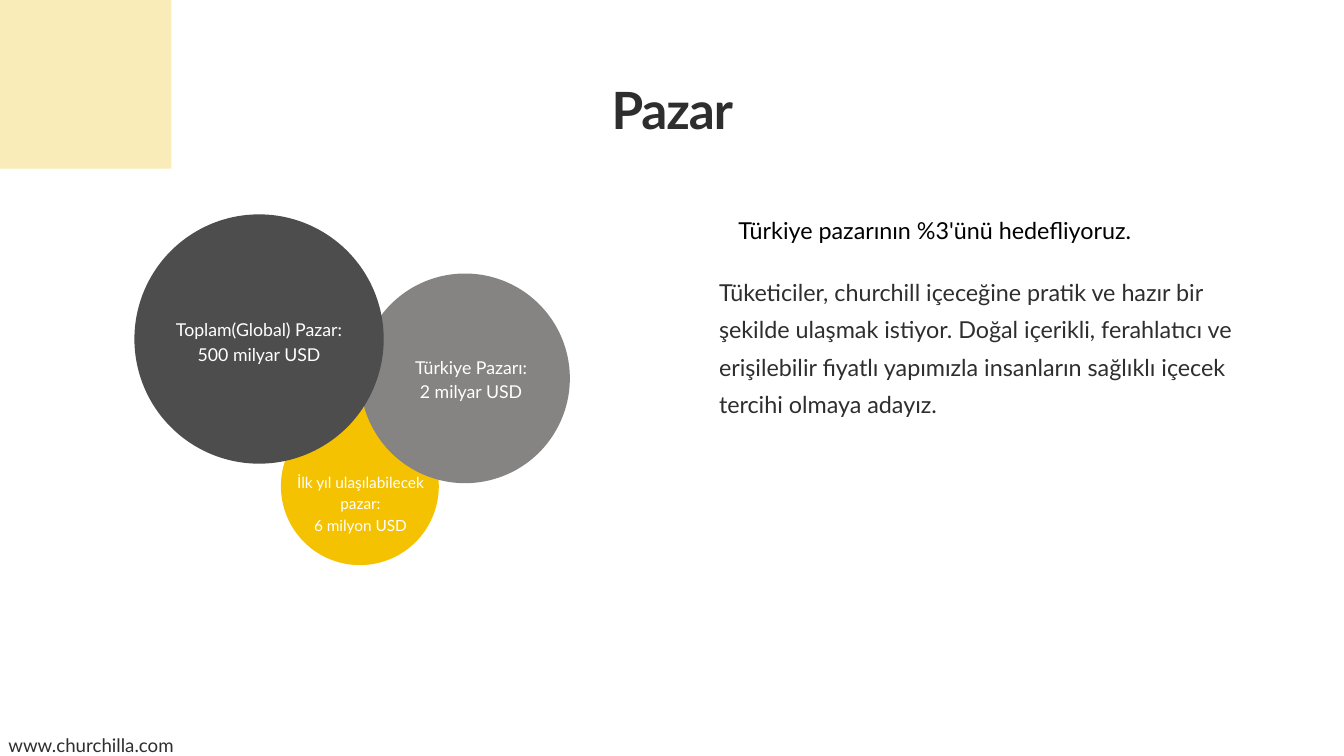
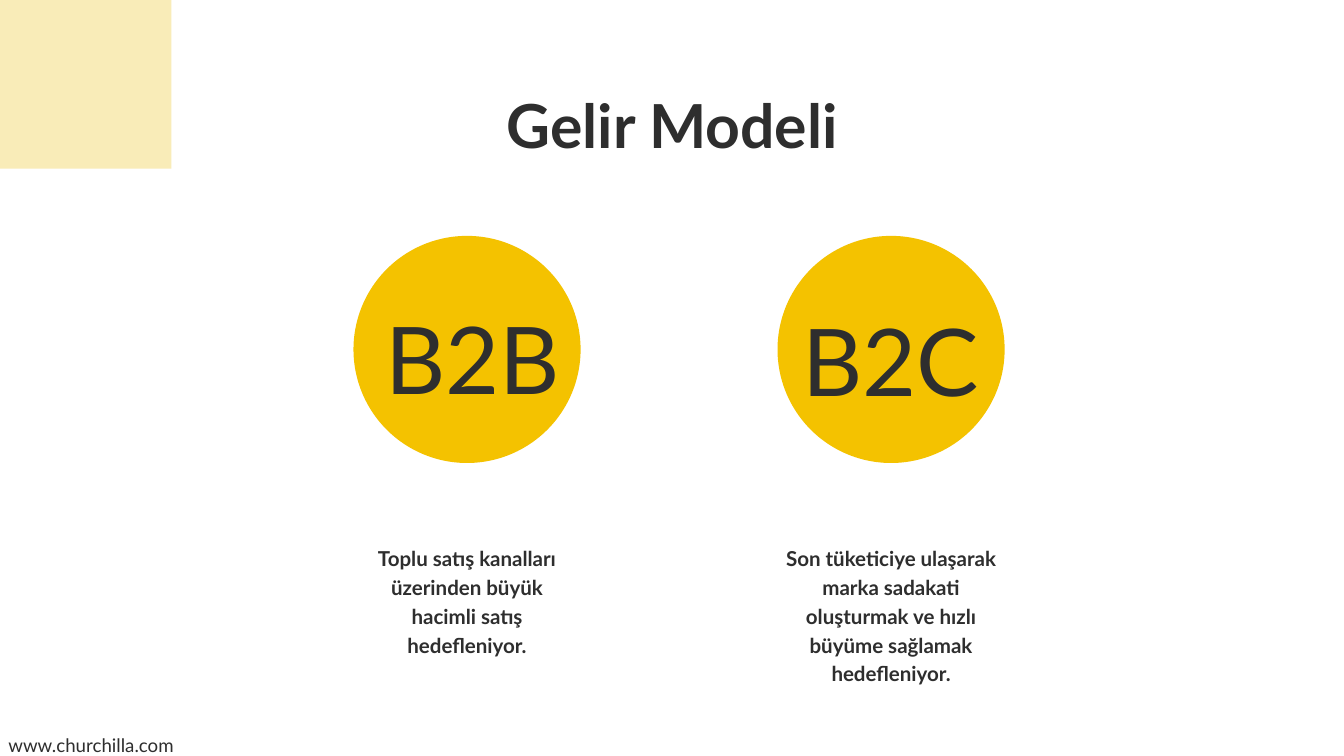
import pptx
import pptx.util
import pptx.dml.color
import pptx.enum.shapes
import pptx.enum.text

RGBColor = pptx.dml.color.RGBColor
INK = RGBColor(0x2E, 0x2E, 0x2E)
BLACK = RGBColor(0x00, 0x00, 0x00)
WHITE = RGBColor(0xFF, 0xFF, 0xFF)
YELLOW = RGBColor(0xF4, 0xC2, 0x00)
CREAM = RGBColor(0xF9, 0xEC, 0xB8)
GREY = RGBColor(0x86, 0x83, 0x83)
CHARCOAL = RGBColor(0x4D, 0x4D, 0x4D)

FONT = "Lato"
LEADING = 1.4
TITLE_ONLY = 5

# The slide is a grid of square cells, 20 columns by 11.25 rows
COLUMNS, ROWS = 20, 11.25
SLIDE_WIDTH = pptx.util.Inches(20)
CELL = SLIDE_WIDTH / COLUMNS

ALIGN = pptx.enum.text.PP_ALIGN
SHAPE = pptx.enum.shapes.MSO_SHAPE


def cells(*counts):
    return [round(count * CELL) for count in counts]


def write(frame, text, size, color=INK, bold=False, align=ALIGN.CENTER,
          leading=LEADING, tracking=None):
    """Fill a text frame, one paragraph for each line of text."""
    frame.margin_left = frame.margin_right = 0
    frame.margin_top = frame.margin_bottom = 0
    frame.word_wrap = True
    frame.auto_size = pptx.enum.text.MSO_AUTO_SIZE.NONE
    frame.vertical_anchor = pptx.enum.text.MSO_ANCHOR.TOP
    for index, line in enumerate(text.split("\n")):
        paragraph = frame.add_paragraph() if index else frame.paragraphs[0]
        paragraph.alignment = align
        paragraph.line_spacing = pptx.util.Pt(round(size * leading, 1))
        run = paragraph.add_run()
        run.text = line
        run.font.name = FONT
        run.font.size = pptx.util.Pt(size)
        run.font.bold = bold
        run.font.color.rgb = color
        if tracking is not None:
            run._r.get_or_add_rPr().set("spc", str(round(tracking * 100)))


def add_text(slide, box, text, size, **style):
    write(slide.shapes.add_textbox(*cells(*box)).text_frame, text, size, **style)


def add_block(slide, kind, box, color):
    block = slide.shapes.add_shape(kind, *cells(*box))
    block.shadow.inherit = False
    block.fill.solid()
    block.fill.fore_color.rgb = color
    block.line.fill.background()


def add_circle(slide, left, top, diameter, color):
    add_block(slide, SHAPE.OVAL, (left, top, diameter, diameter), color)


def add_page(deck, title, title_box, title_size, tracking=None):
    """Start a slide with the title, corner block and web address."""
    slide = deck.slides.add_slide(deck.slide_layouts[TITLE_ONLY])
    heading = slide.shapes.title
    heading.left, heading.top, heading.width, heading.height = cells(*title_box)
    write(heading.text_frame, title, title_size, bold=True, tracking=tracking)
    add_block(slide, SHAPE.RECTANGLE, (0, 0, 2.55, 2.51), CREAM)
    add_text(slide, (0, 10.86, 2.71, 0.37), "www.churchilla.com", 20)
    return slide


def build_market(deck):
    slide = add_page(deck, "Pazar", (8.58, 1.01, 2.85, 1.02), 55, tracking=-1.1)

    # Overlapping market sizes, back to front
    markets = [
        ((4.18, 6.06, 2.35), YELLOW, (4.28, 6.99, 2.17, 0.95),
         "İlk yıl ulaşılabilecek\npazar:\n6 milyon USD", 16.5),
        ((5.36, 4.07, 3.12), GREY, (6.06, 5.25, 1.9, 0.72),
         "Türkiye Pazarı:\n2 milyar USD", 19),
        ((2, 3.19, 3.71), CHARCOAL, (2.43, 4.69, 2.85, 0.72),
         "Toplam(Global) Pazar:\n500 milyar USD", 19),
    ]
    for circle, color, label_box, label, size in markets:
        add_circle(slide, *circle, color)
        add_text(slide, label_box, label, size, color=WHITE)

    # Target and explanation
    add_text(slide, (10.7, 3.14, 6.42, 0.46),
             "Türkiye pazarının %3'ünü hedefliyoruz.", 25, color=BLACK)
    add_text(slide, (10.7, 4, 8.18, 2.73),
             "Tüketiciler, churchill içeceğine pratik ve hazır bir şekilde "
             "ulaşmak istiyor. Doğal içerikli, ferahlatıcı ve erişilebilir "
             "fiyatlı yapımızla insanların sağlıklı içecek tercihi olmaya "
             "adayız.", 25, align=ALIGN.LEFT, leading=1.6)


def build_revenue_model(deck):
    slide = add_page(deck, "Gelir Modeli", (7.09, 1.12, 5.83, 1.22), 65)

    # One column per sales channel: circle, name and description
    diameter = 3.38
    channels = [
        (6.95, "B2B", (5.52, 4.2, 3.02, 1.83), 2.81,
         "Toplu satış kanalları üzerinden büyük hacimli satış hedefleniyor."),
        (13.26, "B2C", (11.77, 4.23, 2.97, 1.83), 3.25,
         "Son tüketiciye ulaşarak marka sadakati oluşturmak ve hızlı büyüme "
         "sağlamak hedefleniyor."),
    ]
    for center, name, name_box, text_width, description in channels:
        add_circle(slide, center - diameter / 2, 3.51, diameter, YELLOW)
        add_text(slide, name_box, name, 100)
        add_text(slide, (center - text_width / 2, 8.07, text_width, 2.54),
                 description, 22, bold=True)


def main():
    deck = pptx.Presentation()
    deck.slide_width, deck.slide_height = cells(COLUMNS, ROWS)
    build_market(deck)
    build_revenue_model(deck)
    deck.save("out.pptx")


if __name__ == "__main__":
    main()
